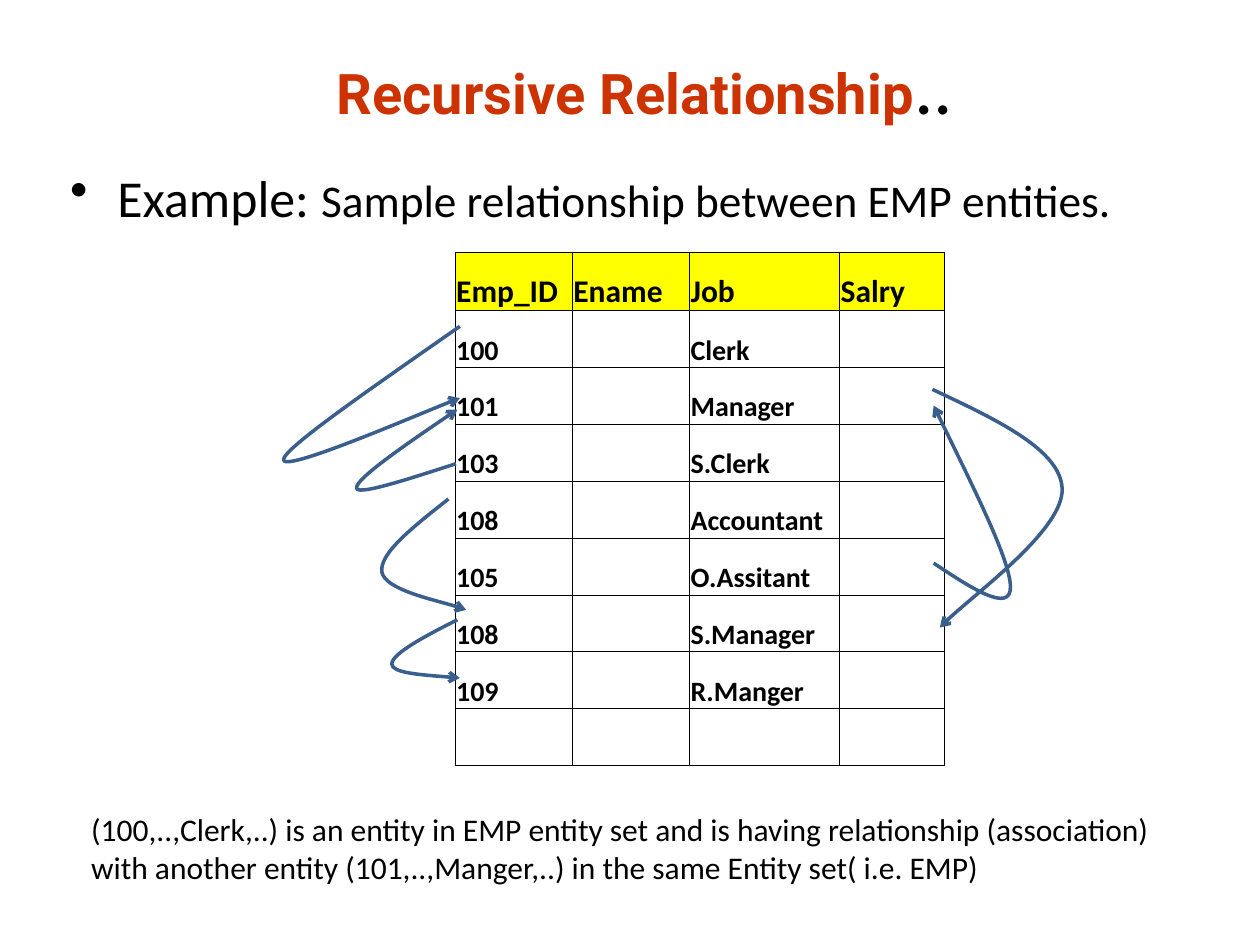
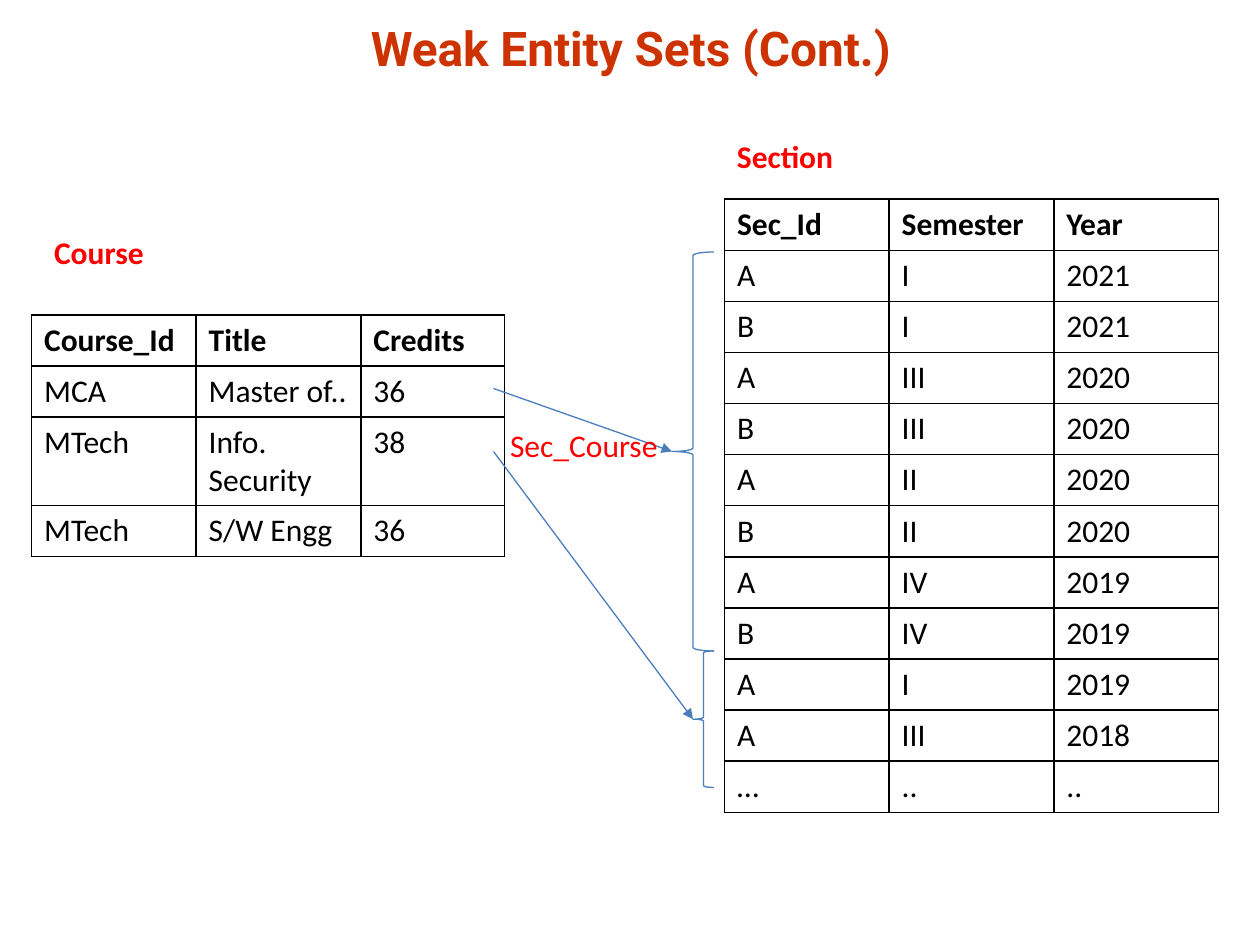
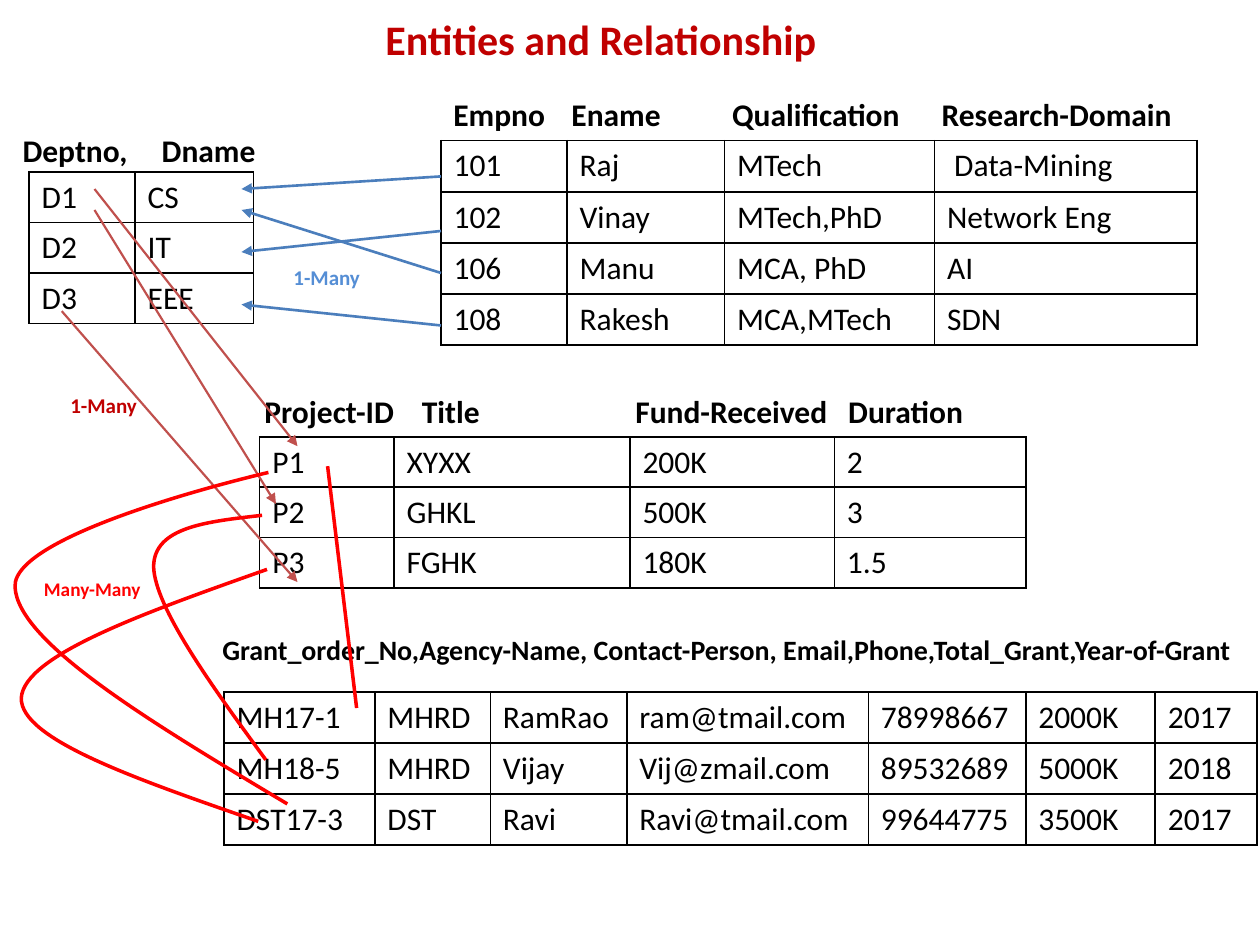
from dataclasses import dataclass

import pptx
import pptx.dml.color
import pptx.enum.shapes
import pptx.enum.text
import pptx.oxml
import pptx.oxml.ns
import pptx.util

Pt = pptx.util.Pt
MSO_ANCHOR = pptx.enum.text.MSO_ANCHOR
PP_ALIGN = pptx.enum.text.PP_ALIGN
MSO_SHAPE = pptx.enum.shapes.MSO_SHAPE
MSO_CONNECTOR = pptx.enum.shapes.MSO_CONNECTOR

COLORS = {
    "text": "000000",
    "title": "CC3300",
    "dark_red": "C00000",
    "red": "FF0000",
    "header": "FFFF00",
    "curve": "3A5F8C",
    "blue": "4B7EBC",
    "light_blue": "558ED5",
    "brick": "C0504D",
}


@dataclass
class Run:
    text: str
    size: float = 18
    color: str = "text"
    bold: bool = False
    font: str = "Calibri"


@dataclass
class Label:
    box: tuple[float, float, float, float]
    runs: list[Run]
    wrap: bool = True
    centered: bool = False
    bullet: bool = False
    tabs: tuple[float, ...] = ()


@dataclass
class Grid:
    """A table; each row is one string with its cells parted by a bar."""
    left: float
    top: float
    widths: tuple[float, ...]
    row_height: float
    rows: tuple[str, ...]
    header: bool = False
    header_fill: str = ""
    header_height: float = 0
    body_size: float = 18
    body_bold: bool = False
    border: float = 1
    margins: tuple[float, float, float, float] = (7.2, 3.6, 7.2, 3.6)
    anchor: MSO_ANCHOR = MSO_ANCHOR.TOP


@dataclass
class Arrow:
    start: tuple[float, float]
    end: tuple[float, float]
    color: str = "blue"
    width: float = 1.5
    head: str = "triangle"


@dataclass
class Curve:
    """Start point, then three points for each cubic segment."""
    points: tuple[tuple[float, float], ...]
    color: str = "curve"
    head: str = "arrow"


def rgb(name: str) -> pptx.dml.color.RGBColor:
    return pptx.dml.color.RGBColor.from_string(COLORS[name])


def add_child(parent, tag: str, **attrs):
    el = pptx.oxml.parse_xml(f"<a:{tag} {pptx.oxml.ns.nsdecls('a')}/>")
    for name, value in attrs.items():
        el.set(name, str(value))
    parent.append(el)
    return el


def add_run(p, run: Run) -> None:
    r = p.add_run()
    r.text = run.text
    r.font.size = Pt(run.size)
    r.font.name = run.font
    r.font.bold = run.bold
    r.font.color.rgb = rgb(run.color)


def style_line(sp, color: str, width: float, head: str = "") -> None:
    sp.line.color.rgb = rgb(color)
    sp.line.width = Pt(width)
    if head:
        add_child(sp.line._get_or_add_ln(), "tailEnd", type=head)


def add_label(slide, label: Label) -> None:
    sp = slide.shapes.add_textbox(*map(Pt, label.box))
    tf = sp.text_frame
    tf.word_wrap = label.wrap
    p = tf.paragraphs[0]
    if label.centered:
        tf.vertical_anchor = MSO_ANCHOR.MIDDLE
        p.alignment = PP_ALIGN.CENTER
    pPr = p._p.get_or_add_pPr()
    if label.bullet:
        pPr.set("marL", str(Pt(27)))
        pPr.set("indent", str(Pt(-27)))
        add_child(pPr, "buChar", char="•")
    if label.tabs:
        tab_list = add_child(pPr, "tabLst")
        for tab in label.tabs:
            add_child(tab_list, "tab", pos=Pt(tab), algn="l")
    for run in label.runs:
        add_run(p, run)


def add_title(slide, box: tuple[float, float, float, float], *runs: Run) -> None:
    add_label(slide, Label(box, list(runs), centered=True))


def add_heading(slide, left: float, top: float, width: float, names: str,
                tabs: tuple[float, ...] = (), size: float = 18) -> None:
    """Column names that stand above a table, parted by tabs."""
    add_label(slide, Label((left, top, width, 29), [Run(names, size, bold=True)], tabs=tabs))


def add_tag(slide, box: tuple[float, float, float, float], run: Run) -> None:
    add_label(slide, Label(box, [run], wrap=False))


def add_borders(cell, width: float) -> None:
    tcPr = cell._tc.get_or_add_tcPr()
    for i, side in enumerate(("lnL", "lnR", "lnT", "lnB")):
        ln = add_child(tcPr, side, w=Pt(width))
        add_child(add_child(ln, "solidFill"), "srgbClr", val=COLORS["text"])
        tcPr.insert(i, ln)


def add_grid(slide, grid: Grid) -> None:
    heights = [grid.row_height] * len(grid.rows)
    heights[0] = grid.header_height or grid.row_height
    frame = slide.shapes.add_table(len(heights), len(grid.widths), Pt(grid.left), Pt(grid.top),
                                   Pt(sum(grid.widths)), Pt(sum(heights)))
    table = frame.table
    table.first_row = table.horz_banding = False
    for column, width in zip(table.columns, grid.widths):
        column.width = Pt(width)
    for i, (line, height) in enumerate(zip(grid.rows, heights)):
        table.rows[i].height = Pt(height)
        is_header = grid.header and i == 0
        for j, text in enumerate(line.split("|")):
            cell = table.cell(i, j)
            (cell.margin_left, cell.margin_top,
             cell.margin_right, cell.margin_bottom) = map(Pt, grid.margins)
            cell.vertical_anchor = grid.anchor
            if is_header and grid.header_fill:
                cell.fill.solid()
                cell.fill.fore_color.rgb = rgb(grid.header_fill)
            else:
                cell.fill.background()
            add_borders(cell, grid.border)
            if text:
                size = 18 if is_header else grid.body_size
                add_run(cell.text_frame.paragraphs[0],
                        Run(text, size, bold=is_header or grid.body_bold))


def add_arrow(slide, arrow: Arrow):
    sp = slide.shapes.add_connector(MSO_CONNECTOR.STRAIGHT,
                                    *map(Pt, arrow.start + arrow.end))
    style_line(sp, arrow.color, arrow.width, arrow.head)
    add_child(sp._element.spPr, "effectLst")
    return sp


def add_curve(slide, curve: Curve) -> None:
    """Draw the points as a freeform, then join each three segments into one cubic."""
    start, *rest = [(Pt(x), Pt(y)) for x, y in curve.points]
    builder = slide.shapes.build_freeform(*start)
    builder.add_line_segments(rest, close=False)
    sp = builder.convert_to_shape()
    outline = sp._element.xpath(".//a:path")[0]
    segments = outline.xpath("a:lnTo")
    for i in range(0, len(segments), 3):
        cubic = add_child(outline, "cubicBezTo")
        for segment in segments[i:i + 3]:
            cubic.append(segment[0])
            outline.remove(segment)
    sp.fill.background()
    style_line(sp, curve.color, 2, curve.head)
    sp.shadow.inherit = False


def add_brace(slide, left: float, top: float, width: float, height: float):
    sp = slide.shapes.add_shape(MSO_SHAPE.LEFT_BRACE, *map(Pt, (left, top, width, height)))
    sp.fill.background()
    style_line(sp, "blue", 0.75)
    sp.shadow.inherit = False
    return sp


def build_recursive(slide) -> None:
    add_title(slide, (44.6, 3, 648, 90),
              Run("Recursive Relationship", 32, "title", True, "Roboto"), Run("..", 44))
    add_label(slide, Label((33, 91, 648, 48), [
        Run("Example: ", 29.6), Run("Sample relationship between EMP entities.", 25.9),
    ], bullet=True))
    add_grid(slide, Grid(
        260, 144, (67, 67, 85.8, 60), 32.5,
        ("Emp_ID|Ename|Job|Salry", "100||Clerk|", "101||Manager|", "103||S.Clerk|",
         "108||Accountant|", "105||O.Assitant|", "108||S.Manager|", "109||R.Manger|", "|||"),
        header=True, header_fill="header", header_height=33.6, body_size=16, body_bold=True,
        border=0.5, margins=(0.7, 0.7, 0.7, 0), anchor=MSO_ANCHOR.BOTTOM))
    for points in (
        ((262.8, 186.5), (212.4, 221.8), (162, 256.3), (162, 262.8),
         (162, 270), (245.5, 234), (262.8, 227.5)),
        ((260.6, 265), (231.8, 274.3), (203, 283.7), (203.8, 278.6),
         (203.8, 273.6), (232.6, 253.4), (261.4, 234)),
        ((532.8, 222.5), (569.5, 239.8), (606.2, 257), (607, 279.4),
         (607.7, 302.4), (548.6, 345.6), (537.1, 358.6)),
        ((261.4, 354.2), (242.6, 363.6), (223.9, 373.7), (223.9, 379.4),
         (223.9, 384.5), (243.4, 385.9), (262.8, 387.4)),
        ((256.3, 285.1), (236.2, 301), (216.7, 316.1), (218.2, 326.9),
         (220.3, 337), (257.8, 344.9), (266.4, 348.5)),
        ((533.5, 321.8), (555.1, 336.2), (577.4, 350.6), (577.4, 335.5),
         (577.4, 320.4), (555.1, 276.5), (533.5, 231.8)),
    ):
        add_curve(slide, Curve(points))
    add_label(slide, Label((45, 459.4, 630, 51), [Run(
        "(100,..,Clerk,..) is an entity in EMP entity set and is having relationship "
        "(association) with another entity (101,..,Manger,..) in the same Entity set( i.e. EMP)")]))


def build_weak_entities(slide) -> None:
    add_grid(slide, Grid(
        18, 180, (94.1, 94.1, 82), 29.2,
        ("Course_Id|Title|Credits", "MCA|Master of..|36",
         "MTech|Info. Security|38", "MTech|S/W Engg|36"), header=True))
    add_grid(slide, Grid(
        414, 113.8, (94.1,) * 3, 29.2,
        ("Sec_Id|Semester|Year", "A|I|2021", "B|I|2021", "A|III|2020", "B|III|2020",
         "A|II|2020", "B|II|2020", "A|IV|2019", "B|IV|2019", "A|I|2019", "A|III|2018",
         "…|..|.."), header=True))
    for brace_box, start in (((384, 144, 24, 228), (282, 222)),
                             ((396, 372, 12, 78), (282, 258))):
        brace = add_brace(slide, *brace_box)
        add_arrow(slide, Arrow(start, brace_box[:2], width=0.75)).end_connect(brace, 1)
    add_tag(slide, (23.8, 129.6, 65.5, 29), Run("Course", color="red", bold=True))
    add_tag(slide, (414, 75, 70, 29), Run("Section", color="red", bold=True))
    add_tag(slide, (284.4, 240, 100, 29), Run("Sec_Course", color="red"))
    add_title(slide, (42.4, 0, 636, 54),
              Run("Weak Entity Sets (Cont.)", 27.3, "title", True, "Roboto"))


def build_entities(slide) -> None:
    add_heading(slide, 5.8, 71.3, 156, "Deptno,\tDname", (79.5,))
    add_grid(slide, Grid(16.6, 98.4, (60.6, 67.6), 28.8, ("D1|CS", "D2|IT", "D3|EEE")))
    add_heading(slide, 252, 51, 432, "Empno\tEname\tQualification\tResearch-Domain",
                (67.5, 159.3, 279))
    add_grid(slide, Grid(
        252, 80.4, (72, 90, 120, 150), 29.2,
        ("101|Raj|MTech| Data-Mining", "102|Vinay|MTech,PhD|Network Eng",
         "106|Manu|MCA, PhD|AI", "108|Rakesh|MCA,MTech|SDN")))
    add_heading(slide, 144, 220.5, 444, "Project-ID\tTitle\tFund-Received\tDuration",
                (90, 212, 333.6))
    add_grid(slide, Grid(
        148.4, 249.6, (76.8, 134.8, 116.8, 109.4), 28.8,
        ("P1|XYXX|200K|2", "P2|GHKL|500K|3", "P3|FGHK|180K|1.5")))
    add_heading(slide, 120, 358, 609, "Grant_order_No,Agency-Name, Contact-Person, "
                "Email,Phone,Total_Grant,Year-of-Grant", size=16)
    add_grid(slide, Grid(
        128, 395.4, (86.2, 66, 78, 138, 90, 74, 58.2), 29.2,
        ("MH17-1|MHRD|RamRao|ram@tmail.com|78998667|2000K|2017",
         "MH18-5|MHRD|Vijay|Vij@zmail.com|89532689|5000K|2018",
         "DST17-3|DST|Ravi|Ravi@tmail.com|99644775|3500K|2017")))

    for emp_y, dept_y in ((100.8, 108), (132, 144), (156, 120), (186, 174)):
        add_arrow(slide, Arrow((252, emp_y), (138, dept_y)))
    for dept, project in (((54, 108), (170, 255)), ((35.3, 177.8), (170, 332.6)),
                          ((54, 120), (157.7, 288))):
        add_arrow(slide, Arrow(dept, project, "brick", 1.25))
    add_arrow(slide, Arrow((203.8, 404.6), (187.2, 266.4), "red", 2, head=""))
    for points in (
        ((164.2, 459.4), (87.1, 413.3), (10.1, 367.2), (8.6, 335.5),
         (6.5, 303.8), (153.4, 270), (153.4, 270)),
        ((147.6, 469.4), (79.2, 445.7), (11.5, 422.6), (12.2, 398.9),
         (13.7, 374.4), (83.5, 349.9), (152.6, 325.4)),
        ((151.9, 434.2), (120.2, 391), (88.6, 347), (87.8, 324),
         (87.8, 301), (118.8, 298.1), (149.8, 294.5)),
    ):
        add_curve(slide, Curve(points, "red", head=""))

    add_tag(slide, (160.6, 147.6, 53.3, 21.6), Run("1-Many", 12, "light_blue", True))
    add_tag(slide, (33.1, 221, 53.3, 21.6), Run("1-Many", 12, "dark_red", True))
    add_tag(slide, (18, 326.2, 70.6, 21), Run("Many-Many", 11, "red", True))
    add_tag(slide, (213.1, 4.3, 264.2, 36), Run("Entities and Relationship", 24, "dark_red", True))


def main() -> None:
    prs = pptx.Presentation()
    prs.slide_width, prs.slide_height = Pt(720), Pt(540)
    for build in (build_recursive, build_weak_entities, build_entities):
        build(prs.slides.add_slide(prs.slide_layouts[6]))
    prs.save("out.pptx")


if __name__ == "__main__":
    main()
